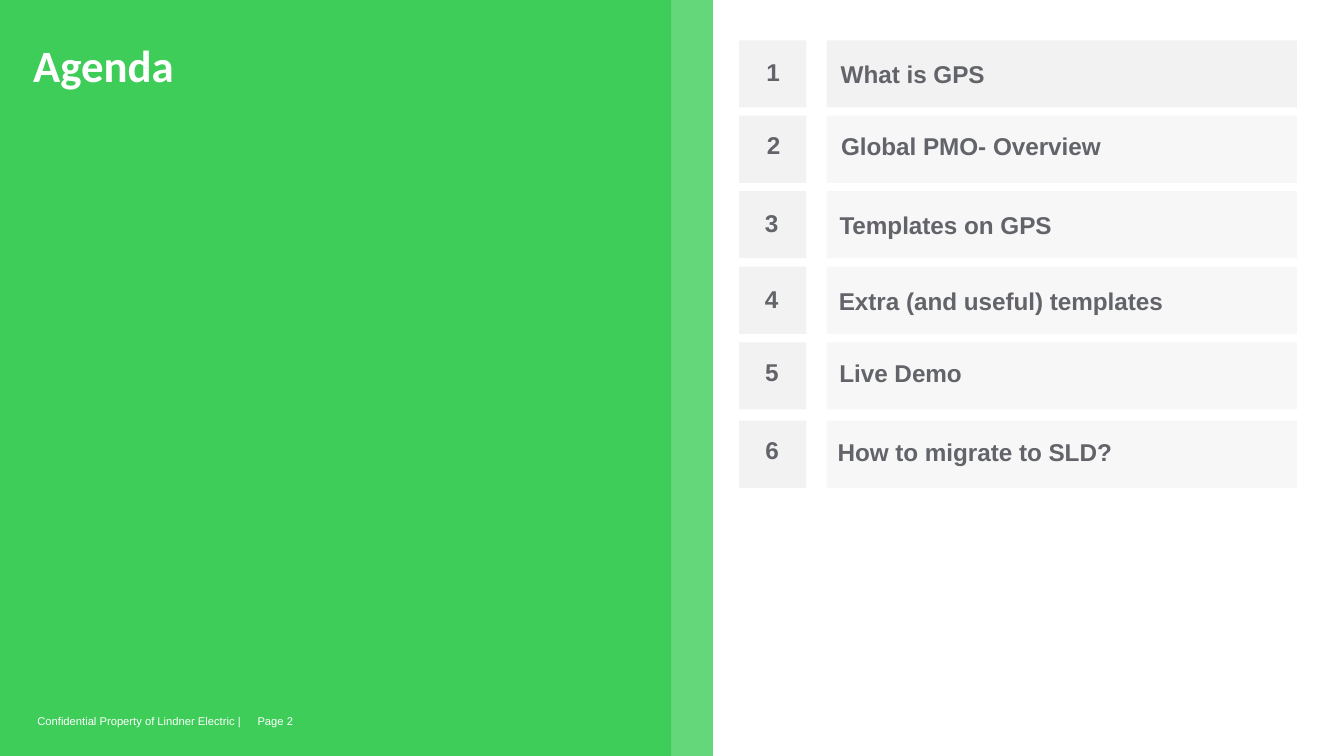
from lxml import etree
from pptx import Presentation
from pptx.dml.color import RGBColor
from pptx.enum.shapes import MSO_SHAPE
from pptx.enum.text import MSO_ANCHOR, PP_ALIGN
from pptx.oxml.ns import qn
from pptx.util import Pt

RECTANGLE = MSO_SHAPE.RECTANGLE
TOP, MIDDLE = MSO_ANCHOR.TOP, MSO_ANCHOR.MIDDLE
LEFT, CENTER = PP_ALIGN.LEFT, PP_ALIGN.CENTER

COLORS = {
    "green": "3DCD58",
    "white": "FFFFFF",
    "text": "626469",
    "card": "F2F2F2",
    "pale_card": "F7F7F7",
}
WIDTH, HEIGHT = 720, 405
CARD_HEIGHT = 36
TEXT_HEIGHT = 16.6

# label, card top, number text (left, top), label text (left, top)
AGENDA = [
    ("What is GPS", 21.6, (394, 30.2), (443.3, 31)),
    ("Global PMO- Overview", 62, (394.3, 69.1), (443.5, 70)),
    ("Templates on GPS", 102.4, (393.2, 111), (442.7, 112)),
    ("Extra (and useful) templates", 142.9, (393.2, 152), (442.3, 152.8)),
    ("Live Demo", 183.4, (393.4, 190.8), (442.6, 191.5)),
    ("How to migrate to SLD?", 225.4, (393.5, 232.7), (441.6, 233.8)),
]


def add_block(page, box, color, opacity=100):
    block = page.shapes.add_shape(RECTANGLE, *map(Pt, box))
    block.shadow.inherit = False
    block.line.fill.background()
    block.fill.solid()
    block.fill.fore_color.rgb = RGBColor.from_string(COLORS[color])
    if opacity < 100:
        hue = block.fill._xPr.find(qn("a:solidFill"))[0]
        etree.SubElement(hue, qn("a:alpha"), val=str(opacity * 1000))
    return block


def write_text(shape, text, size, color, font="Arial", bold=False,
               align=LEFT, anchor=MIDDLE, inset=None):
    frame = shape.text_frame
    frame.word_wrap = True
    frame.vertical_anchor = anchor
    if inset is not None:
        frame.margin_left = frame.margin_right = Pt(inset)
        frame.margin_top = frame.margin_bottom = Pt(inset)
    para = frame.paragraphs[0]
    para.text = text
    para.alignment = align
    para.font.name = font
    para.font.size = Pt(size)
    para.font.bold = bold
    para.font.color.rgb = RGBColor.from_string(COLORS[color])


def add_text(page, box, text, size, color, **style):
    write_text(page.shapes.add_textbox(*map(Pt, box)), text, size, color, **style)


def add_title_panel(page, box):
    left, top, width, height = box
    add_block(page, (left, top, width - 22.4, height), "green")
    veil = add_block(page, (left - 2.2, top, width + 2.2, height), "green", opacity=80)
    write_text(veil, "Agenda", 24, "white", font="Calibri", bold=True,
               anchor=TOP, inset=20)


def add_footer(page, box):
    left, top, width, height = box
    owner_width = 118
    add_text(page, (left, top, owner_width, height),
             "Confidential Property of Lindner Electric |", 6, "white", inset=0)
    add_text(page, (left + owner_width, top, width - owner_width, height),
             "Page 2", 6, "white", inset=0)


def add_agenda(page, box):
    left, _, width, _ = box
    label_left = left + 46.8
    label_width = width - 46.8
    for number, (label, top, number_at, label_at) in enumerate(AGENDA, 1):
        add_block(page, (left, top, CARD_HEIGHT, CARD_HEIGHT), "card")
        add_block(page, (label_left, top, label_width, CARD_HEIGHT),
                  "card" if number == 1 else "pale_card")
        add_text(page, (*number_at, 40.3, TEXT_HEIGHT), str(number), 13, "text",
                 bold=True, align=CENTER)
        add_text(page, (*label_at, 247.7, TEXT_HEIGHT), label, 13, "text", bold=True)


def main():
    deck = Presentation()
    deck.slide_width, deck.slide_height = Pt(WIDTH), Pt(HEIGHT)
    page = deck.slides.add_slide(deck.slide_layouts[6])
    add_title_panel(page, (0, 0, 382, HEIGHT))
    add_footer(page, (20, 382.6, 159, 7.2))
    add_agenda(page, (396, 21.6, 298.8, 239.8))
    deck.save("out.pptx")


if __name__ == "__main__":
    main()
